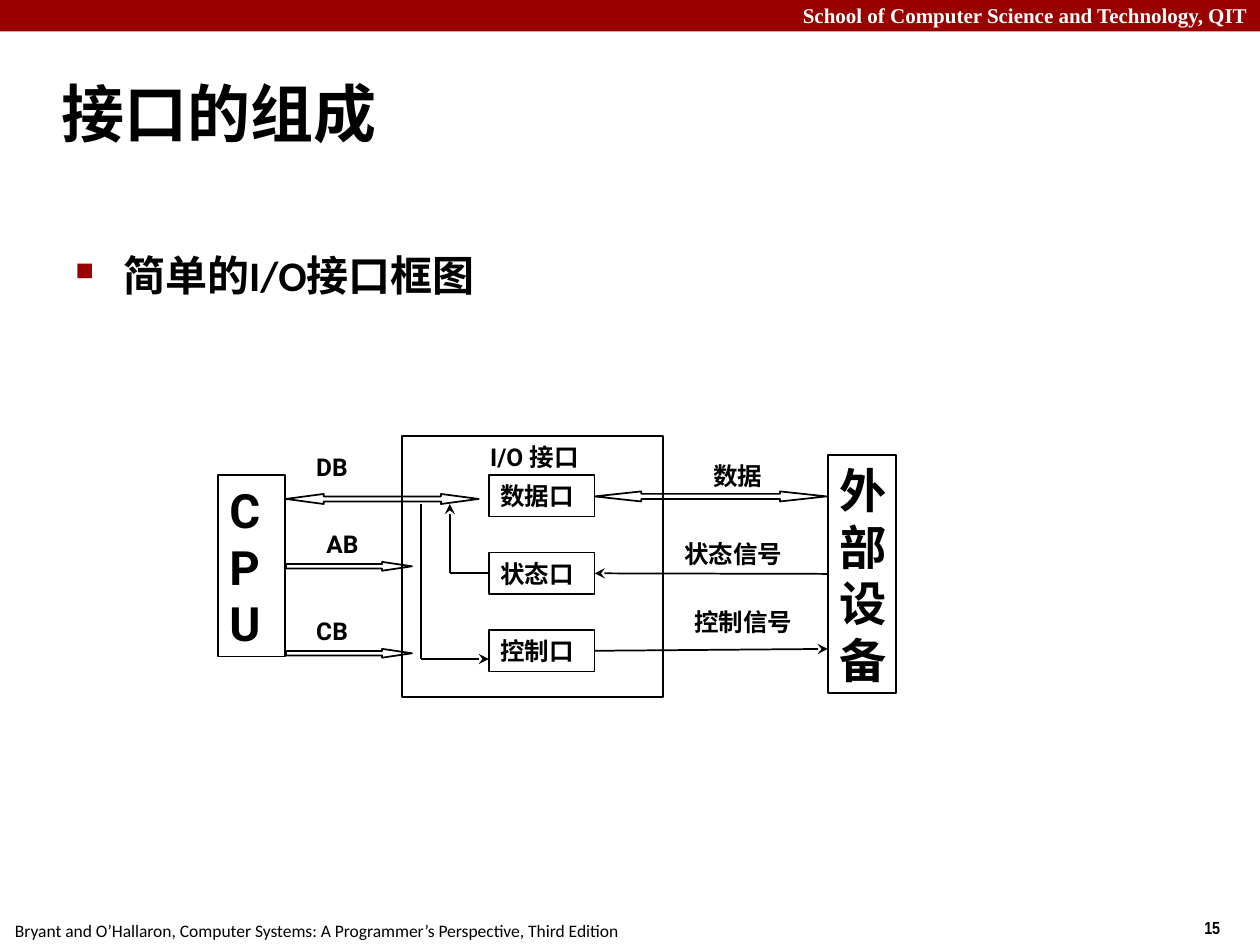
"""Build the slide on the composition of a simple I/O interface."""
from lxml import etree
from pptx import Presentation
from pptx.dml.color import RGBColor
from pptx.enum.shapes import MSO_CONNECTOR, MSO_SHAPE
from pptx.enum.text import MSO_ANCHOR, PP_ALIGN
from pptx.oxml.ns import qn
from pptx.util import Inches, Pt

RECTANGLE = MSO_SHAPE.RECTANGLE
RIGHT_ARROW = MSO_SHAPE.RIGHT_ARROW
STRAIGHT = MSO_CONNECTOR.STRAIGHT
MIDDLE = MSO_ANCHOR.MIDDLE
TOP = MSO_ANCHOR.TOP
LEFT = PP_ALIGN.LEFT
RIGHT = PP_ALIGN.RIGHT
BLACK = RGBColor(0x00, 0x00, 0x00)
WHITE = RGBColor(0xFF, 0xFF, 0xFF)
RED = RGBColor(0x99, 0x00, 0x00)
LEFT_SIDE, RIGHT_SIDE = 1, 3

deck = Presentation()
deck.slide_width = Inches(10)
deck.slide_height = Inches(7.5)
CELL = deck.slide_width // 100
page = deck.slides.add_slide(deck.slide_layouts[5])
shapes = page.shapes


def grid(*cells):
    """Turn grid positions into slide lengths."""
    return [round(cell * CELL) for cell in cells]


def write(box, text, size, font="Roboto", bold=True, color=BLACK,
          align=LEFT, anchor=TOP, inset=0.9, wrap=True):
    """Put one formatted paragraph into a box and return it."""
    frame = box.text_frame
    frame.word_wrap = wrap
    frame.vertical_anchor = anchor
    frame.margin_left, frame.margin_right = grid(inset, inset)
    frame.text = text
    para = frame.paragraphs[0]
    para.alignment = align
    para.font.size = Pt(size)
    para.font.name = font
    para.font.bold = bold
    para.font.color.rgb = color
    return para


banner = shapes.add_shape(RECTANGLE, *grid(0, 0, 100, 2.5))
banner.shadow.inherit = False
banner.fill.solid()
banner.fill.fore_color.rgb = RED
banner.line.fill.background()

school = shapes.add_textbox(*grid(0, -0.3, 100, 3))
write(school, "School of Computer Science and Technology, QIT", 12,
      "Times New Roman", color=WHITE, align=RIGHT, inset=1)
number = shapes.add_textbox(*grid(94.6, 72.3, 5, 2.7))
write(number, "15", 10, "Arial Narrow", inset=1)
credit = shapes.add_textbox(*grid(0.2, 72.5, 50.1, 2.7))
write(credit, "Bryant and O’Hallaron, Computer Systems: A Programmer’s Perspective, Third Edition",
      10, "Calibri", bold=False, inset=1, wrap=False)

title = shapes.title
title.left, title.top, title.width, title.height = grid(3.9, 4.8, 83, 8.3)
write(title, "接口的组成", 36, "Calibri", anchor=MIDDLE, inset=1)

topic = shapes.add_textbox(*grid(5, 19.3, 88.6, 6.5))
bullet = write(topic, "简单的I/O接口框图", 24, "Calibri", inset=1)
properties = bullet._p.get_or_add_pPr()
indent = grid(3.8)[0]
properties.set("marL", str(indent))
properties.set("indent", str(-indent))
bullet_color = etree.SubElement(properties, qn("a:buClr"))
etree.SubElement(bullet_color, qn("a:srgbClr"), val=str(RED))
etree.SubElement(properties, qn("a:buSzPct"), val="60000")
etree.SubElement(properties, qn("a:buChar"), char="■")

PORT_TOP, PORT_STEP, PORT_HEIGHT = 37.7, 6.15, 3.3
blocks = [("", 31.9, 34.6, 20.7, 20.7, 14),
          ("CPU", 17.3, 37.7, 5.3, 14.4, 27),
          ("外部设备", 65.7, 36.1, 5.4, 18.9, 27)]
for row, name in enumerate(["数据口", "状态口", "控制口"]):
    blocks.append((name, 38.8, PORT_TOP + row * PORT_STEP, 8.4, PORT_HEIGHT, 14))

outlines = []
block_by_name = {}
for name, left, top, width, height, size in blocks:
    block = shapes.add_shape(RECTANGLE, *grid(left, top, width, height))
    if name:
        write(block, name, size)
    block_by_name[name] = block
    outlines.append(block)

for left, right, middle, head in [(22.7, 38, 39.6, 3), (47.2, 65.6, 39.4, 3.7)]:
    inner_left, inner_right = left + head, right - head
    corners = [(inner_left, 0.4), (inner_left, 0.2), (inner_right, 0.2),
               (inner_right, 0.4), (right, 0), (inner_right, -0.4),
               (inner_right, -0.2), (inner_left, -0.2), (inner_left, -0.4)]
    builder = shapes.build_freeform(*grid(left, middle))
    builder.add_line_segments([grid(x, middle + rise) for x, rise in corners], close=True)
    outlines.append(builder.convert_to_shape())

for top in (44.6, 51.5):
    bus = shapes.add_shape(RIGHT_ARROW, *grid(22.7, top, 10, 0.7))
    bus.adjustments[1] = 3.38
    outlines.append(bus)

for outline in outlines:
    outline.shadow.inherit = False
    outline.fill.background()
    outline.line.color.rgb = BLACK
    outline.line.width = Pt(1)

status_port, control_port = block_by_name["状态口"], block_by_name["控制口"]
device = block_by_name["外部设备"]
STATUS_Y = PORT_TOP + PORT_STEP + PORT_HEIGHT / 2
signals = [
    ((33.4, 40, 33.4, 52.3), False, None, None),
    ((38.8, STATUS_Y, 35.7, STATUS_Y), False, (status_port, LEFT_SIDE), None),
    ((35.7, STATUS_Y, 35.7, 40), True, None, None),
    ((33.4, 52.3, 38.8, 52.3), True, None, None),
    ((65.7, STATUS_Y, 47.2, STATUS_Y), True, (device, LEFT_SIDE), (status_port, RIGHT_SIDE)),
    ((47.2, 51.4, 65.7, 51.5), True, (control_port, RIGHT_SIDE), None),
]
for ends, has_arrow, source, target in signals:
    signal = shapes.add_connector(STRAIGHT, *grid(*ends))
    if source:
        signal.begin_connect(*source)
    if target:
        signal.end_connect(*target)
    signal.line.color.rgb = BLACK
    signal.line.width = Pt(1)
    if has_arrow:
        etree.SubElement(signal.line._get_or_add_ln(), qn("a:tailEnd"), type="stealth")
    etree.SubElement(signal._element.spPr, qn("a:effectLst"))

labels = [("DB", 24.2, 35.4, 5.4), ("AB", 25, 41.5, 5.4), ("CB", 24.2, 48.4, 5.4),
          ("数据", 55.7, 36.1, 7.7), ("状态信号", 53.4, 42.3, 10.8),
          ("控制信号", 54.2, 47.7, 10.8), ("I/O 接口", 38, 34.6, 10.8)]
for text, left, top, width in labels:
    label = shapes.add_textbox(*grid(left, top, width, 3.3))
    write(label, text, 14)

deck.save("out.pptx")
